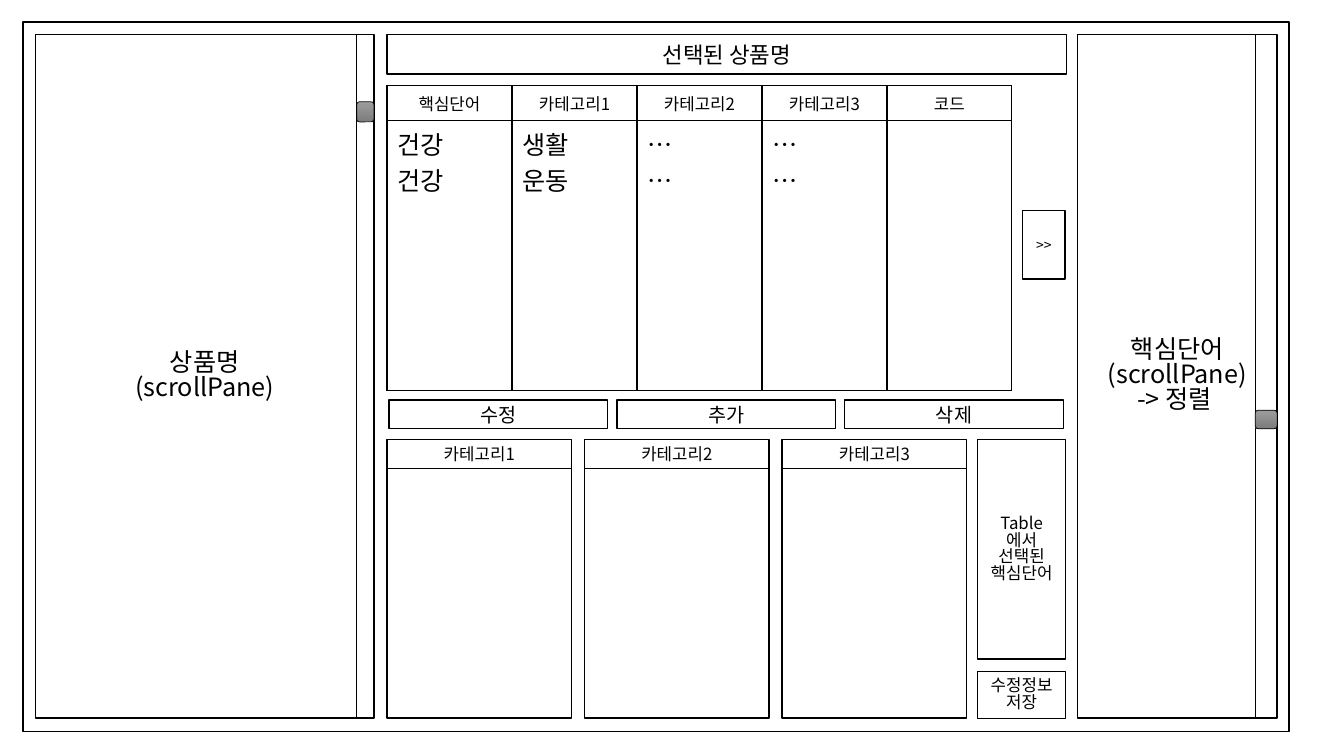
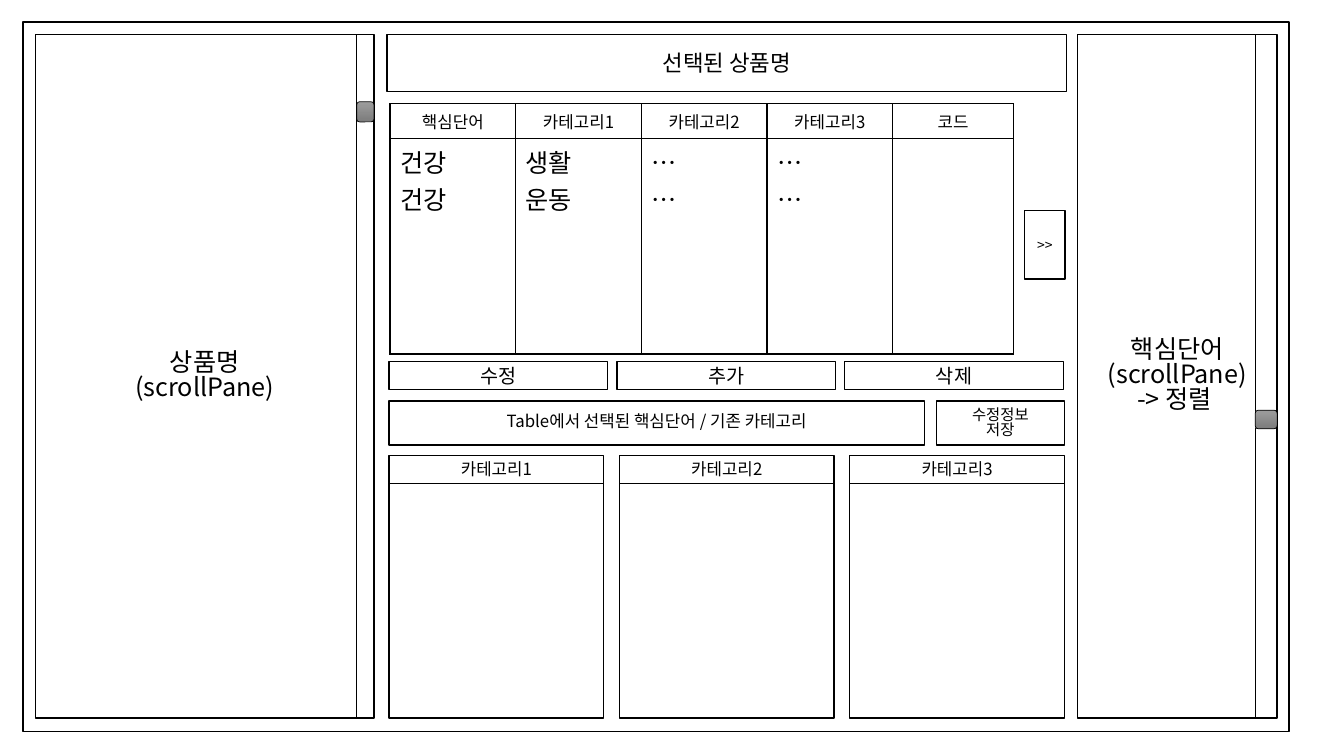
import dataclasses

import lxml.etree
import pptx
import pptx.dml.color
import pptx.enum.shapes
import pptx.enum.text
import pptx.oxml.ns
import pptx.util

SHAPES = pptx.enum.shapes.MSO_SHAPE
ALIGN = pptx.enum.text.PP_ALIGN
ANCHOR = pptx.enum.text.MSO_ANCHOR
COLUMNS, ROWS = 80, 45
WIDTH, HEIGHT = pptx.util.Inches(13.33), pptx.util.Inches(7.5)


@dataclasses.dataclass(frozen=True)
class Theme:
    """Colours, type sizes, line widths and spacing of the wireframes."""
    ink: str = "000000"
    paper: str = "FFFFFF"
    thumb_top: str = "9D9D9D"
    thumb_bottom: str = "7C7C7C"
    font: str = "Noto Sans CJK KR"
    panel: int = 18
    title: int = 16
    button: int = 14
    label: int = 12
    small: int = 11
    arrow: int = 10
    outline: float = 1
    hairline: float = 0.5
    tight: float = 0.82


@dataclasses.dataclass(frozen=True)
class Screen:
    """Everything in which one screen differs from the next, in grid units."""
    title_height: float
    table_at: tuple
    table_columns: tuple
    table_rows: tuple
    move_width: float
    buttons_top: float
    lists_at: tuple
    list_width: float
    list_gap: float
    list_heading: float
    word_area: tuple
    word_text: str
    save_area: tuple
    save_text: str
    save_size: int


THEME = Theme()
TOP, BOTTOM = 2.04, 42.75
MIDDLE_LEFT, MIDDLE_RIGHT = 23.04, 63.4
CATEGORIES = ["카테고리1", "카테고리2", "카테고리3"]
HEADINGS = ["핵심단어", *CATEGORIES, "코드"]
ENTRIES = ["건강\n건강", "생활\n운동", "…\n…", "…\n…", ""]
SCREENS = [
    Screen(title_height=2.36, table_at=(MIDDLE_LEFT, 5.1),
           table_columns=(7.44,) * 5, table_rows=(2.04, 16.08),
           move_width=2.52, buttons_top=23.82,
           lists_at=(MIDDLE_LEFT, 26.16), list_width=10.98, list_gap=0.78,
           list_heading=1.74,
           word_area=(58.2, 26.16, 5.22, 13.08),
           word_text="Table에서 선택된 핵심단어",
           save_area=(58.2, 39.96, 5.22, 2.8),
           save_text="수정정보 저장", save_size=THEME.label),
    Screen(title_height=3.42, table_at=(23.22, 6.18),
           table_columns=(7.48,) * 4 + (7.2,), table_rows=(1.62, 12.84),
           move_width=2.4, buttons_top=21.5,
           lists_at=(23.16, 27.1), list_width=12.78, list_gap=0.93,
           list_heading=1.65,
           word_area=(23.16, 23.88, 31.86, 2.6),
           word_text="Table에서 선택된 핵심단어 / 기존 카테고리",
           save_area=(55.74, 23.88, 7.62, 2.6),
           save_text="수정정보\n저장", save_size=THEME.small),
]


def across(columns):
    """Turn grid columns into a length."""
    return round(WIDTH * columns / COLUMNS)


def down(rows):
    """Turn grid rows into a length."""
    return round(HEIGHT * rows / ROWS)


def place(left, top, width, height):
    """Turn an area of the grid into four lengths."""
    return across(left), down(top), across(width), down(height)


def colour(code):
    """Turn a hex code into a colour."""
    return pptx.dml.color.RGBColor.from_string(code)


def write(frame, text, size=THEME.label, align=ALIGN.CENTER,
          anchor=ANCHOR.MIDDLE, spacing=None):
    """Write text into a frame, one paragraph a line."""
    frame.word_wrap = True
    frame.vertical_anchor = anchor
    for number, line in enumerate(text.split("\n")):
        para = frame.add_paragraph() if number else frame.paragraphs[0]
        para.alignment = align
        if spacing:
            para.line_spacing = spacing
        span = para.add_run()
        span.text = line
        span.font.size = pptx.util.Pt(size)
        span.font.color.rgb = colour(THEME.ink)
        span.font.name = THEME.font
        east = lxml.etree.SubElement(span.font._element,
                                     pptx.oxml.ns.qn("a:ea"))
        east.set("typeface", THEME.font)


def add_box(shapes, area, text="", **style):
    """Add an outlined white box, with text if there is any."""
    box = shapes.add_shape(SHAPES.RECTANGLE, *place(*area))
    box.shadow.inherit = False
    box.fill.solid()
    box.fill.fore_color.rgb = colour(THEME.paper)
    box.line.color.rgb = colour(THEME.ink)
    box.line.width = pptx.util.Pt(THEME.outline)
    if text:
        write(box.text_frame, text, **style)
    return box


def add_rule(shapes, start, end):
    """Add a hairline between two grid points."""
    rule = shapes.add_connector(
        pptx.enum.shapes.MSO_CONNECTOR.STRAIGHT,
        across(start[0]), down(start[1]), across(end[0]), down(end[1]))
    rule.line.color.rgb = colour(THEME.ink)
    rule.line.width = pptx.util.Pt(THEME.hairline)
    lxml.etree.SubElement(rule._element.spPr, pptx.oxml.ns.qn("a:effectLst"))


def add_thumb(shapes, area):
    """Add the shaded thumb of a scroll bar."""
    thumb = shapes.add_shape(SHAPES.ROUNDED_RECTANGLE, *place(*area))
    thumb.shadow.inherit = False
    thumb.fill.gradient()
    thumb.fill.gradient_angle = 270
    stops = thumb.fill.gradient_stops
    for stop, position, code in zip(
            stops, (0, 1), (THEME.thumb_top, THEME.thumb_bottom)):
        stop.position = position
        stop.color.rgb = colour(code)
    thumb.line.color.rgb = colour(THEME.ink)
    thumb.line.width = pptx.util.Pt(THEME.hairline)


def add_scroll_panel(page, left, width, bar, thumb_top, thumb_height, text):
    """Add a grouped panel with a scroll bar along its right side."""
    shapes = page.shapes.add_group_shape().shapes
    add_box(shapes, (left, TOP, width, BOTTOM - TOP), text,
            size=THEME.panel, spacing=THEME.tight)
    edge = left + width - bar
    add_rule(shapes, (edge, TOP), (edge, BOTTOM))
    add_thumb(shapes, (edge, thumb_top, bar, thumb_height))


def add_borders(cell):
    """Draw all four borders of a table cell."""
    properties = cell._tc.get_or_add_tcPr()
    for number, side in enumerate(("lnL", "lnR", "lnT", "lnB")):
        border = lxml.etree.Element(pptx.oxml.ns.qn("a:" + side))
        border.set("w", str(pptx.util.Pt(THEME.outline)))
        fill = lxml.etree.SubElement(border, pptx.oxml.ns.qn("a:solidFill"))
        ink = lxml.etree.SubElement(fill, pptx.oxml.ns.qn("a:srgbClr"))
        ink.set("val", THEME.ink)
        properties.insert(number, border)


def add_word_table(page, at, columns, rows):
    """Add the table of key words and their categories."""
    table = page.shapes.add_table(
        len(rows), len(columns),
        *place(*at, sum(columns), sum(rows))).table
    table.first_row = table.horz_banding = False
    for column, width in zip(table.columns, columns):
        column.width = across(width)
    styles = [dict(size=THEME.label),
              dict(size=THEME.panel, align=ALIGN.LEFT, anchor=ANCHOR.TOP)]
    for row, height, texts, style in zip(
            table.rows, rows, (HEADINGS, ENTRIES), styles):
        row.height = down(height)
        for cell, text in zip(row.cells, texts):
            cell.fill.solid()
            cell.fill.fore_color.rgb = colour(THEME.paper)
            add_borders(cell)
            if text:
                write(cell.text_frame, text, **style)


def add_category_lists(page, at, width, gap, heading):
    """Add a group of equal list boxes, each under a category heading."""
    shapes = page.shapes.add_group_shape().shapes
    top = at[1]
    for number, name in enumerate(CATEGORIES):
        left = at[0] + number * (width + gap)
        add_box(shapes, (left, top, width, BOTTOM - top))
        add_rule(shapes, (left, top + heading), (left + width, top + heading))
        label = shapes.add_textbox(*place(left, top, width, heading))
        write(label.text_frame, name)


def add_buttons(page, top):
    """Add the row of edit buttons at equal steps."""
    width, gap = 13.02, 0.54
    for number, name in enumerate(("수정", "추가", "삭제")):
        left = 23.16 + number * (width + gap)
        add_box(page.shapes, (left, top, width, 1.68), name,
                size=THEME.button)


def add_screen(deck, screen):
    """Add one slide with a wireframe screen."""
    page = deck.slides.add_slide(deck.slide_layouts[6])
    add_box(page.shapes, (1.38, 1.32, 75.36, 42.24))
    add_scroll_panel(page, 2.1, 20.16, 1.02, 6.06, 1.2,
                     "상품명\n(scrollPane)")
    add_scroll_panel(page, 64.14, 11.88, 1.3, 24.42, 1.1,
                     "핵심단어\n(scrollPane)\n-> 정렬 ")
    add_box(page.shapes, (MIDDLE_LEFT, TOP, 40.44, screen.title_height),
            "선택된 상품명", size=THEME.title)
    add_word_table(page, screen.table_at, screen.table_columns,
                   screen.table_rows)
    add_box(page.shapes, (MIDDLE_RIGHT - screen.move_width, 12.54,
                          screen.move_width, 4.08), ">>", size=THEME.arrow)
    add_buttons(page, screen.buttons_top)
    add_category_lists(page, screen.lists_at, screen.list_width,
                       screen.list_gap, screen.list_heading)
    add_box(page.shapes, screen.word_area, screen.word_text,
            spacing=THEME.tight)
    add_box(page.shapes, screen.save_area, screen.save_text,
            size=screen.save_size, spacing=THEME.tight)


def main():
    """Build the deck and save it."""
    deck = pptx.Presentation()
    deck.slide_width, deck.slide_height = WIDTH, HEIGHT
    for screen in SCREENS:
        add_screen(deck, screen)
    deck.save("out.pptx")


main()
